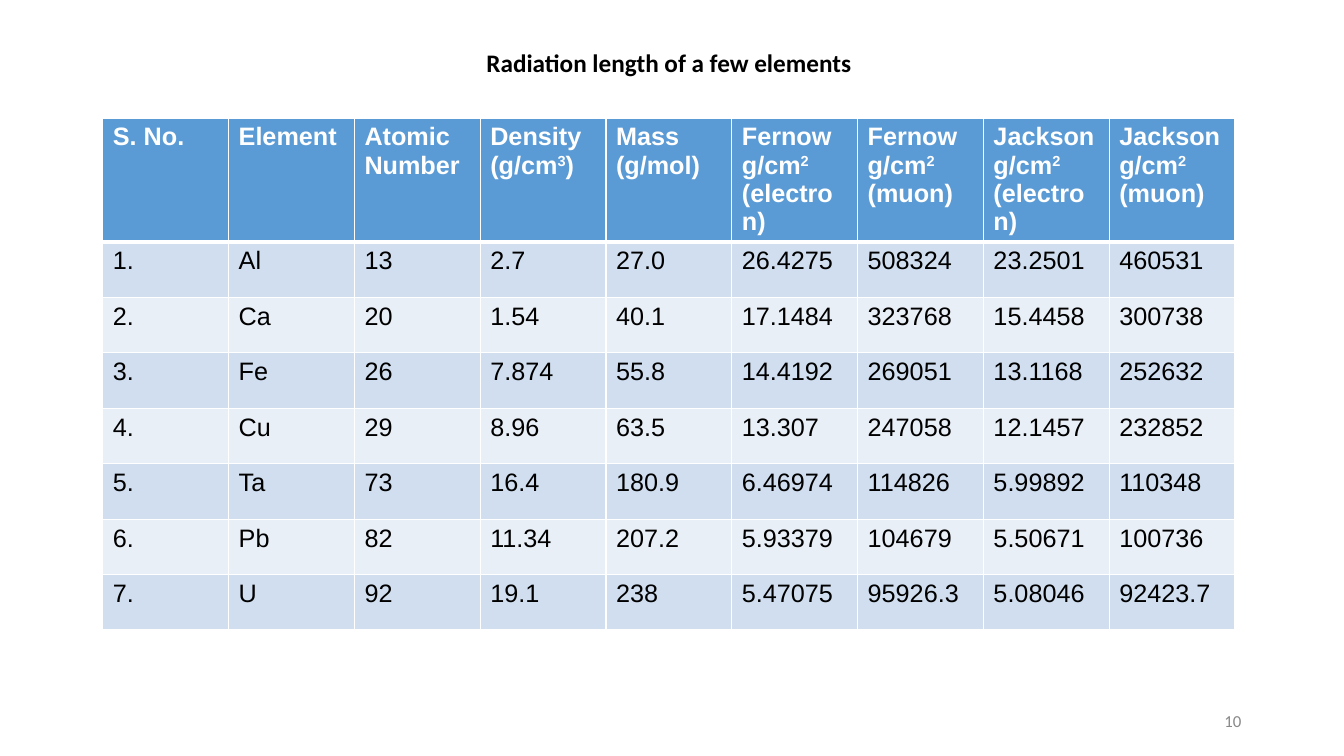
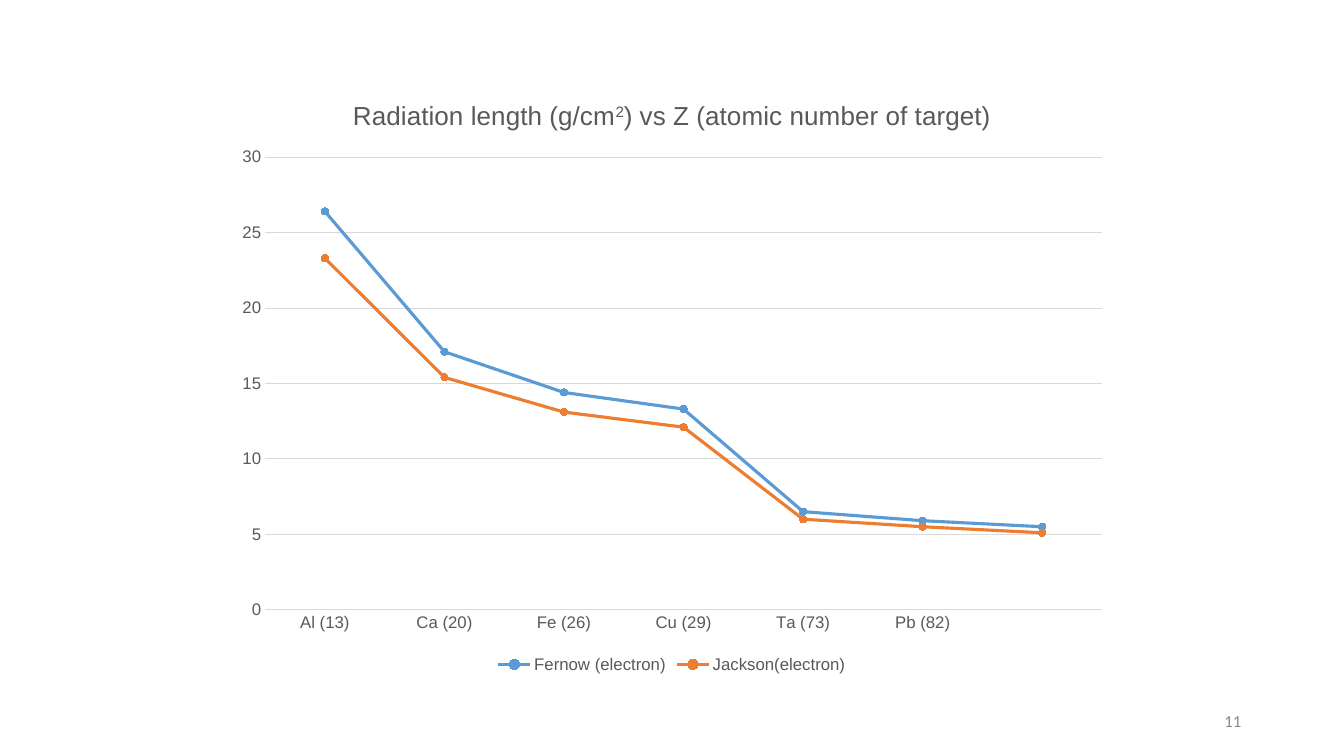
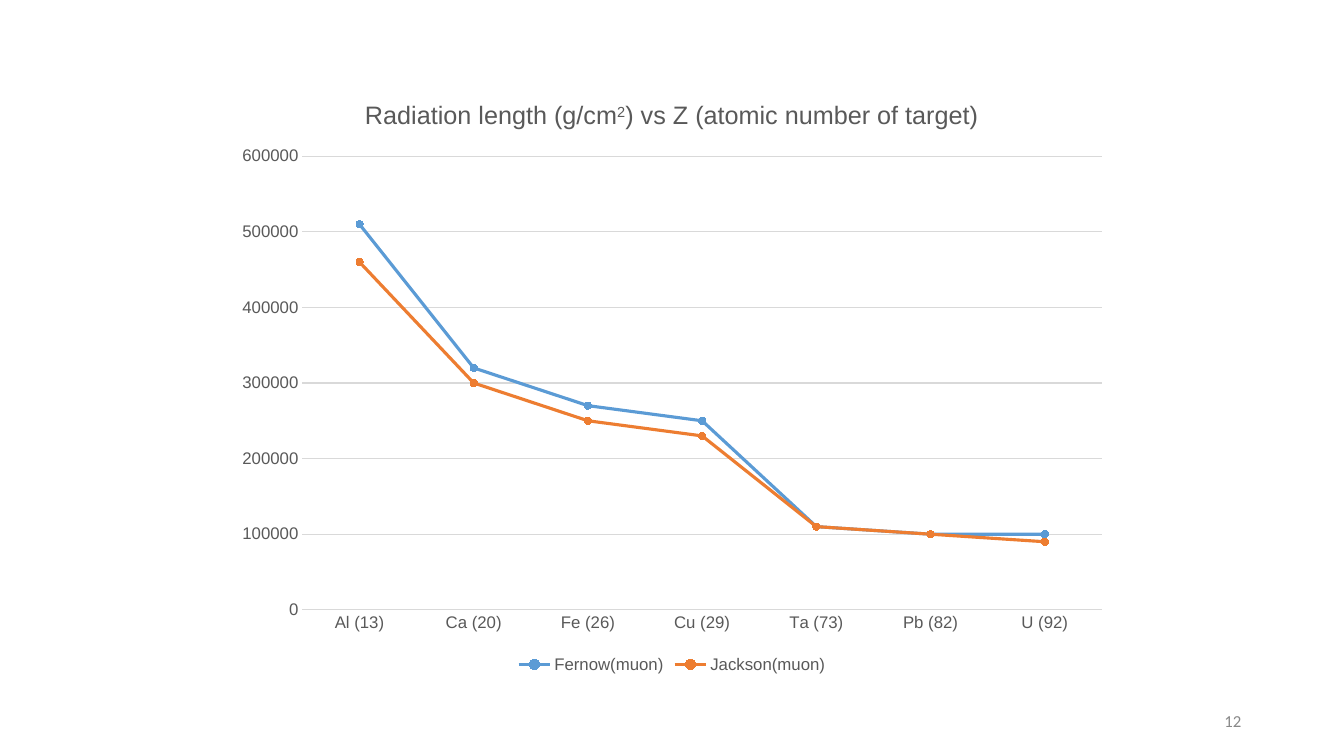
from dataclasses import dataclass

from lxml import etree
from pptx import Presentation
from pptx.chart.data import CategoryChartData
from pptx.dml.color import RGBColor
from pptx.enum.chart import (XL_CHART_TYPE, XL_LEGEND_POSITION,
                             XL_MARKER_STYLE, XL_TICK_MARK)
from pptx.enum.text import MSO_ANCHOR, MSO_AUTO_SIZE, PP_ALIGN
from pptx.oxml.ns import qn
from pptx.util import Inches, Pt

LINES = XL_CHART_TYPE.LINE_MARKERS
BOTTOM = XL_LEGEND_POSITION.BOTTOM
CIRCLE = XL_MARKER_STYLE.CIRCLE
NO_TICK = XL_TICK_MARK.NONE
TOP, MIDDLE = MSO_ANCHOR.TOP, MSO_ANCHOR.MIDDLE
NO_FIT = MSO_AUTO_SIZE.NONE
LEFT, CENTER, RIGHT = PP_ALIGN.LEFT, PP_ALIGN.CENTER, PP_ALIGN.RIGHT

# Shared look
BLACK, WHITE, GRAY, INK, GRID = "000000", "FFFFFF", "888888", "595959", "D9D9D9"
BLUE, ORANGE = "5B9BD5", "ED7D31"
BANDS = ("D0DEEF", "E9EFF7")
SANS, HEAD = "Arial", "Calibri"
TITLE_ONLY, BLANK = 5, 6
FIRST = 10  # number of the first slide

# Chart frame: left, top, width, height
FRAME = (2.22, 0.79, 8.89, 5.93)
CAPTION = "Radiation length (g/cm^2^) vs Z (atomic number of target)"

# Text between carets is superscript
HEADS = ("S. No.", "Element", "Atomic Number", "Density\n(g/cm^3^)",
         "Mass\n(g/mol)", "Fernow\ng/cm^2^\n(electron)",
         "Fernow\ng/cm^2^\n(muon)", "Jackson\ng/cm^2^\n(electron)",
         "Jackson\ng/cm^2^\n(muon)")
DATA = (
    ("Al", "13", "2.7", "27.0", "26.4275", "508324", "23.2501", "460531"),
    ("Ca", "20", "1.54", "40.1", "17.1484", "323768", "15.4458", "300738"),
    ("Fe", "26", "7.874", "55.8", "14.4192", "269051", "13.1168", "252632"),
    ("Cu", "29", "8.96", "63.5", "13.307", "247058", "12.1457", "232852"),
    ("Ta", "73", "16.4", "180.9", "6.46974", "114826", "5.99892", "110348"),
    ("Pb", "82", "11.34", "207.2", "5.93379", "104679", "5.50671", "100736"),
    ("U", "92", "19.1", "238", "5.47075", "95926.3", "5.08046", "92423.7"),
)


@dataclass
class Curve:
    name: str
    col: int  # column in DATA
    color: str


@dataclass
class Graph:
    curves: tuple[Curve, ...]
    cats: int  # how many points carry a label
    digits: int  # rounding of the values
    size: float  # caption size
    head: tuple[float, float]  # caption left, top
    area: tuple[float, float, float, float]  # plot left, top, width, height


GRAPHS = (
    Graph((Curve("Fernow (electron)", 4, BLUE),
           Curve("Jackson(electron)", 6, ORANGE)),
          6, 1, 18.6, (3.47, 0.95), (2.63, 1.56, 8.3, 4.49)),
    Graph((Curve("Fernow(muon)", 5, BLUE), Curve("Jackson(muon)", 7, ORANGE)),
          7, -4, 18, (3.59, 0.96), (3, 1.55, 7.93, 4.5)),
)


def rgb(code: str) -> RGBColor:
    return RGBColor.from_string(code)


def put(frame, text: str, *, size: float = 18, color: str = BLACK,
        font: str = SANS, bold: bool = False, align=LEFT) -> None:
    """Write text, one paragraph a line."""
    for i, line in enumerate(text.split("\n")):
        para = frame.add_paragraph() if i else frame.paragraphs[0]
        para.alignment = align
        for j, part in enumerate(line.split("^")):
            if not part:
                continue
            run = para.add_run()
            run.text = part
            style(run.font, size, color, font, bold)
            if j % 2:
                run.font._element.set("baseline", "30000")


def style(font, size: float, color: str, name: str = SANS,
          bold: bool = False) -> None:
    font.size, font.name, font.bold = Pt(size), name, bold
    font.color.rgb = rgb(color)


def number(slide, value: int) -> None:
    box = slide.shapes.add_textbox(Inches(9.41), Inches(6.95),
                                   Inches(3), Inches(0.4))
    frame = box.text_frame
    frame.word_wrap, frame.vertical_anchor = True, MIDDLE
    put(frame, str(value), size=12, color=GRAY, font=HEAD, align=RIGHT)


def heading(slide, text: str) -> None:
    title = slide.shapes.title
    title.left, title.top = Inches(3.75), Inches(0.42)
    title.width, title.height = Inches(5.77), Inches(0.42)
    frame = title.text_frame
    frame.auto_size, frame.vertical_anchor = NO_FIT, TOP
    put(frame, text, font=HEAD, bold=True, align=CENTER)


def border(cell, side: str, width: float) -> None:
    props = cell._tc.get_or_add_tcPr()
    line = etree.SubElement(props, qn(f"a:ln{side}"), w=str(Pt(width)))
    fill = etree.SubElement(line, qn("a:solidFill"))
    etree.SubElement(fill, qn("a:srgbClr"), val=WHITE)


def grid(slide) -> None:
    rows = [HEADS] + [(f"{i}.", *row) for i, row in enumerate(DATA, 1)]
    table = slide.shapes.add_table(
        len(rows), len(HEADS), Inches(1.02), Inches(1.17),
        Inches(11.23), Inches(5.08)).table
    for i, row in enumerate(rows):
        table.rows[i].height = Inches(0.55 if i else 1.23)
        for j, text in enumerate(row):
            cell = table.cell(i, j)
            # Thick rule between the header and the first row
            for side in "LRTB":
                thick = (i, side) in ((0, "B"), (1, "T"))
                border(cell, side, 3 if thick else 1)
            cell.fill.solid()
            cell.fill.fore_color.rgb = rgb(BANDS[(i - 1) % 2] if i else BLUE)
            put(cell.text_frame, text, color=BLACK if i else WHITE,
                bold=not i)


def place(part, index: int, inner: bool, *box: float) -> None:
    """Fix a chart part at slide inches by a manual layout."""
    for old in part.findall(qn("c:layout")):
        part.remove(old)
    layout = etree.Element(qn("c:layout"))
    part.insert(index, layout)
    manual = etree.SubElement(layout, qn("c:manualLayout"))
    left, top, width, height = FRAME
    shares = [(box[0] - left) / width, (box[1] - top) / height]
    shares += [n / full for n, full in zip(box[2:], (width, height))]
    items = [("layoutTarget", "inner")] if inner else []
    items += [("xMode", "edge"), ("yMode", "edge")]
    items += [(key, f"{n:.4f}") for key, n in zip("xywh", shares)]
    for key, val in items:
        etree.SubElement(manual, qn(f"c:{key}"), val=val)


def plot(slide, graph: Graph) -> None:
    data = CategoryChartData()
    data.categories = [f"{row[0]} ({row[1]})" for row in DATA[:graph.cats]]
    for curve in graph.curves:
        data.add_series(curve.name, [round(float(row[curve.col]), graph.digits)
                                     for row in DATA])
    chart = slide.shapes.add_chart(LINES, *map(Inches, FRAME), data).chart
    style(chart.font, 10, BLACK)

    # Caption and plot area
    chart.has_title = True
    put(chart.chart_title.text_frame, CAPTION, size=graph.size, color=INK,
        align=CENTER)
    root = chart._chartSpace.chart
    place(root.find(qn("c:title")), 1, False, *graph.head)
    place(root.plotArea, 0, True, *graph.area)

    # Legend
    chart.has_legend = True
    chart.legend.position = BOTTOM
    chart.legend.include_in_layout = False
    style(chart.legend.font, 12, INK)

    # Axes
    cat, val = chart.category_axis, chart.value_axis
    for axis in (cat, val):
        axis.major_tick_mark = axis.minor_tick_mark = NO_TICK
        style(axis.tick_labels.font, 12, INK)
    val.has_major_gridlines = True
    val.format.line.fill.background()
    for line in (cat.format.line, val.major_gridlines.format.line):
        line.color.rgb, line.width = rgb(GRID), Pt(0.75)

    # Curves
    chart.plots[0].vary_by_categories = False
    for curve, series in zip(graph.curves, chart.plots[0].series):
        series.smooth = False
        series.format.line.color.rgb = rgb(curve.color)
        series.format.line.width = Pt(2.25)
        mark = series.marker
        mark.style, mark.size = CIRCLE, 5
        mark.format.fill.solid()
        mark.format.fill.fore_color.rgb = rgb(curve.color)
        mark.format.line.color.rgb = rgb(curve.color)


def main() -> None:
    deck = Presentation()
    deck.slide_width, deck.slide_height = Inches(13.33), Inches(7.5)

    # Table of elements
    slide = deck.slides.add_slide(deck.slide_layouts[TITLE_ONLY])
    heading(slide, "Radiation length of a few elements")
    grid(slide)

    # Electron and muon charts
    for graph in GRAPHS:
        plot(deck.slides.add_slide(deck.slide_layouts[BLANK]), graph)

    for value, slide in enumerate(deck.slides, FIRST):
        number(slide, value)
    deck.save("out.pptx")


if __name__ == "__main__":
    main()
